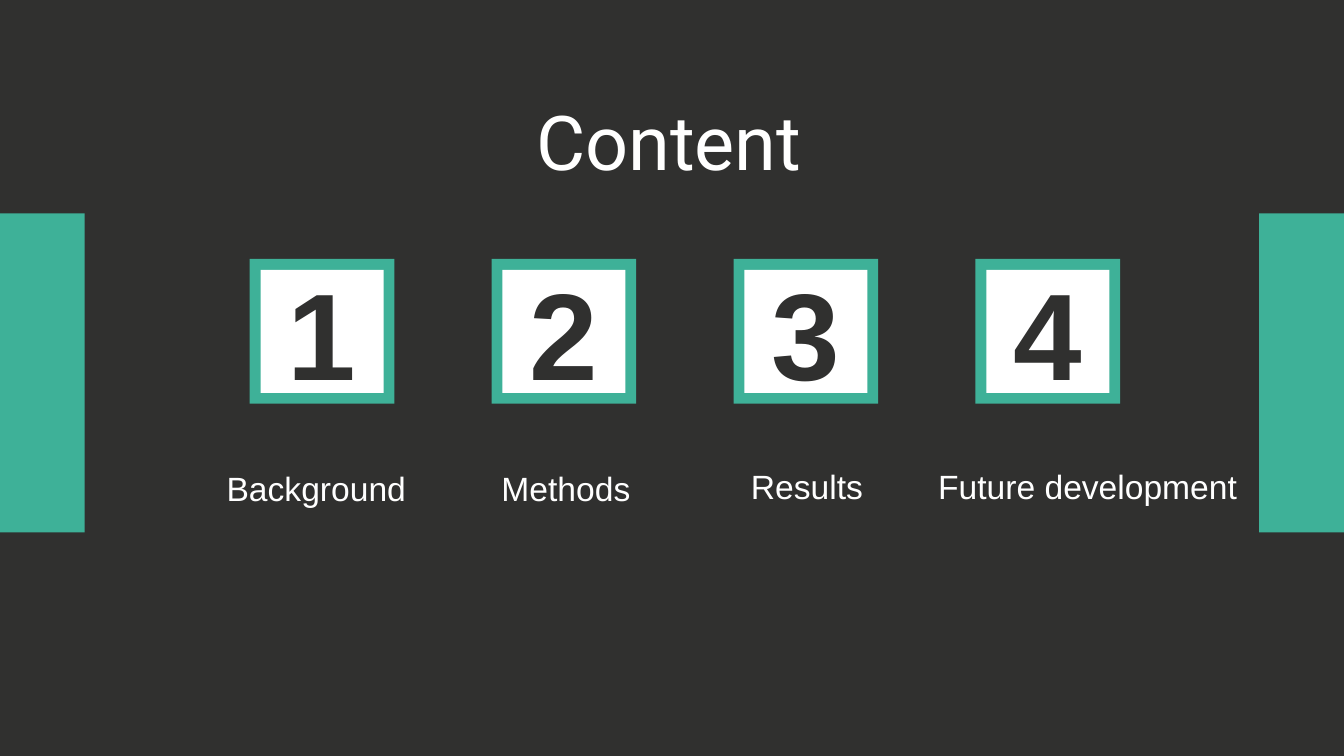
from pptx import Presentation
from pptx.dml.color import RGBColor
from pptx.enum.shapes import MSO_SHAPE
from pptx.enum.text import MSO_ANCHOR, MSO_AUTO_SIZE, PP_ALIGN
from pptx.util import Pt

DARK, GREEN, WHITE = "30302F", "3EB198", "FFFFFF"
WIDTH, HEIGHT = 960, 540
TOPICS = [
    ("Background", 154.8, 330.5, 155.5, PP_ALIGN.LEFT),
    ("Methods", 350.6, 330.5, 107.3, PP_ALIGN.CENTER),
    ("Results", 528.5, 329, 95.8, PP_ALIGN.CENTER),
    ("Future development", 661.7, 329, 230.4, PP_ALIGN.CENTER),
]


def paint(target, color):
    target.solid()
    target.fore_color.rgb = RGBColor.from_string(color)


def write(shape, text, size, color=WHITE, font="Arial", bold=False,
          align=PP_ALIGN.LEFT, anchor=MSO_ANCHOR.TOP, wrap=True):
    frame = shape.text_frame
    frame.auto_size = MSO_AUTO_SIZE.NONE
    frame.word_wrap = wrap
    frame.vertical_anchor = anchor
    line = frame.paragraphs[0]
    line.alignment = align
    run = line.add_run()
    run.text = text
    run.font.name = font
    run.font.size = Pt(size)
    run.font.bold = bold
    paint(run.font.fill, color)


def block(slide, left, top, width, height, color):
    shape = slide.shapes.add_shape(
        MSO_SHAPE.RECTANGLE, Pt(left), Pt(top), Pt(width), Pt(height))
    shape.shadow.inherit = False
    shape.line.fill.background()
    paint(shape.fill, color)
    return shape


def label(slide, text, left, top, width, align):
    box = slide.shapes.add_textbox(Pt(left), Pt(top), Pt(width), Pt(36))
    write(box, text, 24, align=align, wrap=align == PP_ALIGN.LEFT)


def badge(slide, number, left, top):
    side, rim = 103.3, 7.7
    inner = side - 2 * rim
    block(slide, left, top, side, side, GREEN)
    tile = block(slide, left + rim, top + rim, inner, inner, WHITE)
    write(tile, str(number), 88, color=DARK, bold=True,
          align=PP_ALIGN.CENTER, anchor=MSO_ANCHOR.MIDDLE)


def heading(slide, text):
    title = slide.shapes.title
    title.left, title.top = Pt(375.8), Pt(64.1)
    title.width, title.height = Pt(208), Pt(72.7)
    write(title, text, 54, font="Roboto")
    title.text_frame.paragraphs[0].line_spacing = 1


def main():
    deck = Presentation()
    deck.slide_width, deck.slide_height = Pt(WIDTH), Pt(HEIGHT)
    slide = deck.slides.add_slide(deck.slide_layouts[5])
    paint(slide.background.fill, DARK)
    band = 60.5
    for left in (0, WIDTH - band):
        block(slide, left, 152.4, band, 228, GREEN)
    for index, (text, left, top, width, align) in enumerate(TOPICS):
        badge(slide, index + 1, 178.4 + index * 172.8, 185)
        label(slide, text, left, top, width, align)
    heading(slide, "Content")
    deck.save("out.pptx")


if __name__ == "__main__":
    main()
